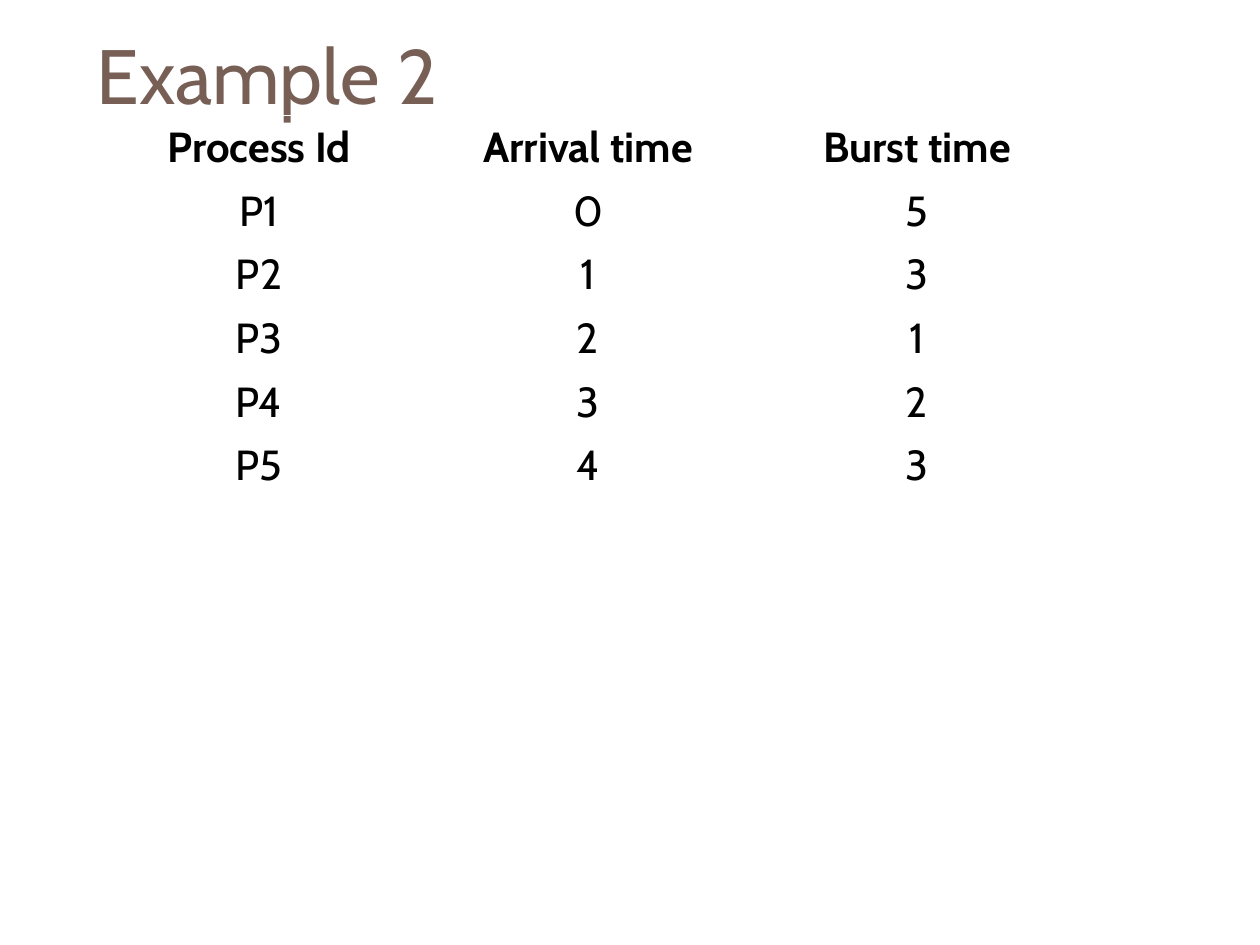
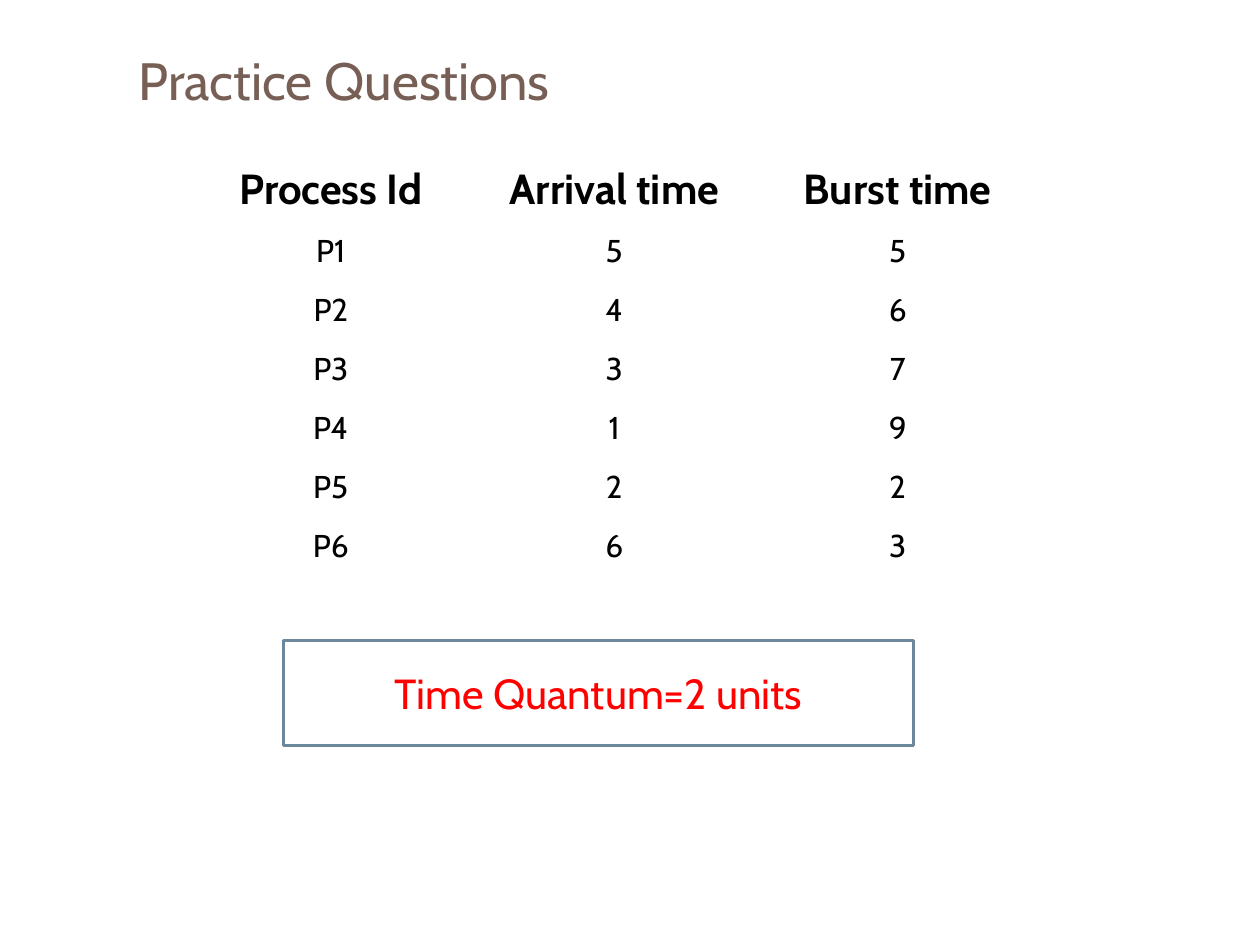
from pptx import Presentation
from pptx.dml.color import RGBColor
from pptx.enum.shapes import MSO_SHAPE
from pptx.enum.text import MSO_ANCHOR, MSO_AUTO_SIZE, PP_ALIGN
from pptx.util import Pt

HEADS = ("Process Id", "Arrival time", "Burst time")


def color(code):
    """Turn a hex string into a colour."""
    return RGBColor.from_string(code)


class Deck:
    """Holds the shared style and the current slide."""

    font = "Cabin"
    brown, black, white, red, steel = "775F55", "000000", "FFFFFF", "FF0000", "6D879B"

    def __init__(self):
        """Start an empty 10 by 7.5 inch deck."""
        self.prs = Presentation()
        self.prs.slide_width, self.prs.slide_height = Pt(720), Pt(540)

    def style(self, para, size, code, align=PP_ALIGN.CENTER, bold=False):
        """Format one paragraph."""
        para.alignment = align
        para.font.name = self.font
        para.font.size = Pt(size)
        para.font.bold = bold
        para.font.color.rgb = color(code)

    def slide(self, title, left, top, width, height, size):
        """Add a slide with its title."""
        self.page = self.prs.slides.add_slide(self.prs.slide_layouts[5])
        head = self.page.shapes.title
        head.left, head.top, head.width, head.height = map(Pt, (left, top, width, height))
        frame = head.text_frame
        frame.text = title
        frame.auto_size = MSO_AUTO_SIZE.NONE
        frame.vertical_anchor = MSO_ANCHOR.TOP
        self.style(frame.paragraphs[0], size, self.brown, PP_ALIGN.LEFT)

    def table(self, times, left, top, width, first, step, size):
        """Add a plain process table from pairs of arrival and burst times."""
        rows = [HEADS] + [(f"P{n}", *pair) for n, pair in enumerate(times, 1)]
        height = first + step * len(times)
        grid = self.page.shapes.add_table(
            len(rows), len(HEADS), Pt(left), Pt(top), Pt(width), Pt(height)).table
        grid.first_row = grid.horz_banding = False
        for r, row in enumerate(rows):
            grid.rows[r].height = Pt(step if r else first)
            for c, value in enumerate(row):
                cell = grid.cell(r, c)
                cell.text = str(value)
                cell.fill.background()
                cell.vertical_anchor = MSO_ANCHOR.MIDDLE
                self.style(cell.text_frame.paragraphs[0], size if r else 24,
                           self.black, bold=r == 0)

    def box(self, text, left, top, width, height):
        """Add an outlined box with centred text."""
        shape = self.page.shapes.add_shape(
            MSO_SHAPE.RECTANGLE, Pt(left), Pt(top), Pt(width), Pt(height))
        shape.shadow.inherit = False
        shape.fill.solid()
        shape.fill.fore_color.rgb = color(self.white)
        shape.line.color.rgb = color(self.steel)
        shape.line.width = Pt(1.5)
        frame = shape.text_frame
        frame.text = text
        frame.vertical_anchor = MSO_ANCHOR.MIDDLE
        self.style(frame.paragraphs[0], 24, self.red)


def main():
    """Build both slides and save them."""
    deck = Deck()
    deck.slide("Example 2", 48, 12, 642, 48, 44)
    deck.table([(0, 5), (1, 3), (2, 1), (3, 2), (4, 3)], 54, 66, 564, 18, 24, 24)

    deck.slide("Practice Questions", 72, 24, 342, 44, 30)
    deck.table([(5, 5), (4, 6), (3, 7), (1, 9), (2, 2), (6, 3)],
               108, 90, 486, 25, 33.8, 18)
    deck.box("Time Quantum=2 units", 162, 366, 360, 60)
    deck.prs.save("out.pptx")


if __name__ == "__main__":
    main()
